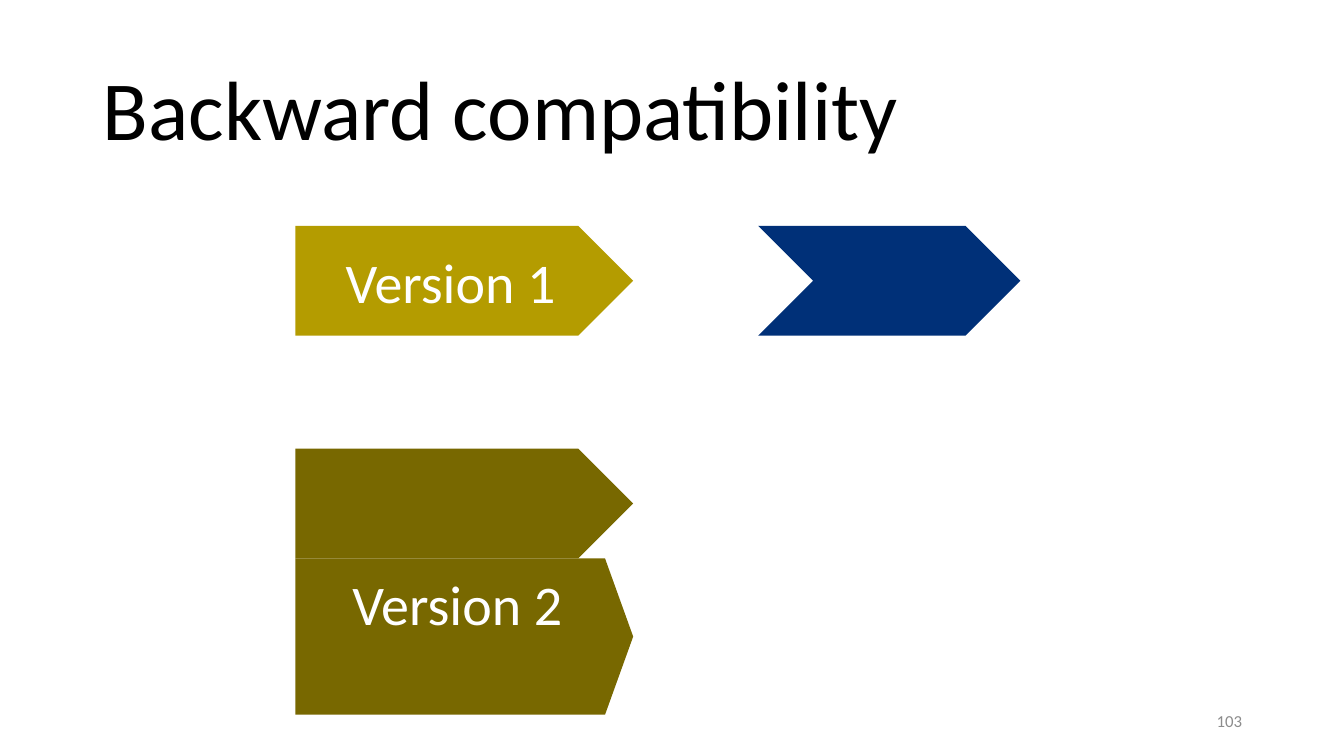
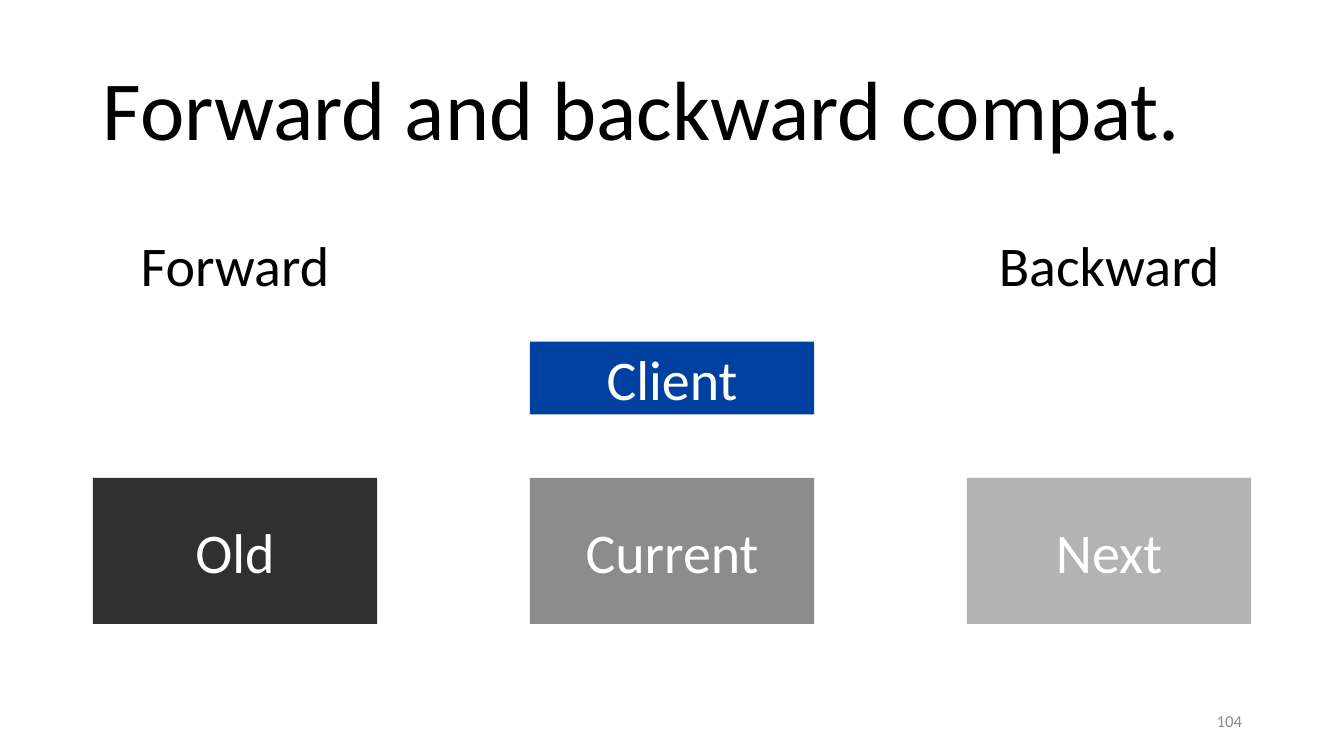
from pptx import Presentation
from pptx.dml.color import RGBColor
from pptx.enum.shapes import MSO_SHAPE as SHAPE
from pptx.enum.text import MSO_ANCHOR as ANCHOR, MSO_AUTO_SIZE as AUTO_SIZE, PP_ALIGN as ALIGN
from pptx.util import Inches, Pt

BLACK = RGBColor(0x00, 0x00, 0x00)
WHITE = RGBColor(0xFF, 0xFF, 0xFF)
DARK_GRAY = RGBColor(0x30, 0x30, 0x30)
GRAY = RGBColor(0x8C, 0x8C, 0x8C)
LIGHT_GRAY = RGBColor(0xB3, 0xB3, 0xB3)
GOLD = RGBColor(0xB4, 0x9C, 0x00)
DARK_GOLD = RGBColor(0x78, 0x68, 0x00)
BLUE = RGBColor(0x00, 0x40, 0xA0)
NAVY = RGBColor(0x00, 0x30, 0x78)

FONT = "Calibri"
FIRST_NUMBER = 103
TITLES = ["Backward compatibility", "Forward and backward compat."]


def write(shape, text, size=40, color=WHITE, align=ALIGN.CENTER):
    """Fill a shape with one vertically centred paragraph and return it."""
    frame = shape.text_frame
    frame.text = text
    frame.word_wrap = True
    frame.auto_size = AUTO_SIZE.NONE
    frame.vertical_anchor = ANCHOR.MIDDLE
    paragraph = frame.paragraphs[0]
    paragraph.alignment = align
    for name, value in {"name": FONT, "size": Pt(size)}.items():
        setattr(paragraph.font, name, value)
    paragraph.font.color.rgb = color
    return paragraph


def add_block(slide, kind, box, fill, text=""):
    shape = slide.shapes.add_shape(kind, *map(Inches, box))
    shape.shadow.inherit = False
    shape.fill.solid()
    shape.fill.fore_color.rgb = fill
    shape.line.fill.background()
    if text:
        write(shape, text)
    return shape


presentation = Presentation()
presentation.slide_width = Inches(13.33)
presentation.slide_height = Inches(7.5)
title_only = presentation.slide_layouts[5]

# Titles and slide numbers
slides = []
for number, heading in enumerate(TITLES, FIRST_NUMBER):
    slide = presentation.slides.add_slide(title_only)
    title = slide.shapes.title
    title.left, title.top, title.width, title.height = map(Inches, (0.92, 0.4, 11.5, 1.45))
    write(title, heading, 60, BLACK, ALIGN.LEFT).line_spacing = 0.9
    number_box = slide.shapes.add_textbox(*map(Inches, (9.42, 6.95, 3, 0.4)))
    write(number_box, str(number), 12, GRAY, ALIGN.RIGHT)
    slides.append(slide)
versions_slide, clients_slide = slides

# Backward compatibility: version 2 keeps the outline of version 1 and extends it
PLATE_LEFT, PLATE_WIDTH, PLATE_HEIGHT = 2.93, 3.35, 1.09
VERSION_1_TOP, VERSION_2_TOP = 2.24, 4.45
add_block(versions_slide, SHAPE.CHEVRON, (7.52, VERSION_1_TOP, 2.6, PLATE_HEIGHT), NAVY)
for top, fill, text in [(VERSION_1_TOP, GOLD, "Version 1"), (VERSION_2_TOP, DARK_GOLD, "")]:
    add_block(versions_slide, SHAPE.PENTAGON, (PLATE_LEFT, top, PLATE_WIDTH, PLATE_HEIGHT), fill, text)
extension = add_block(
    versions_slide, SHAPE.PENTAGON,
    (PLATE_LEFT, VERSION_2_TOP + PLATE_HEIGHT, PLATE_WIDTH, 1.55), DARK_GOLD, "Version 2",
)
extension.adjustments[0] = 0.18
extension.text_frame.margin_bottom = Inches(0.72)  # lifts the label above the middle

# Forward and backward compatibility: three columns
COLUMN_LEFT, COLUMN_STEP, COLUMN_WIDTH = 0.92, 4.335, 2.82
LABEL_HEIGHT = 0.72
COLUMNS = [
    ("Forward", "", "Old", DARK_GRAY),
    ("", "Client", "Current", GRAY),
    ("Backward", "", "Next", LIGHT_GRAY),
]
for column, (direction, client, release, fill) in enumerate(COLUMNS):
    left = COLUMN_LEFT + column * COLUMN_STEP
    add_block(clients_slide, SHAPE.RECTANGLE, (left, 4.74, COLUMN_WIDTH, 1.45), fill, release)
    if direction:
        label = clients_slide.shapes.add_textbox(*map(Inches, (left, 2.26, COLUMN_WIDTH, LABEL_HEIGHT)))
        write(label, direction, color=BLACK)
    if client:
        add_block(clients_slide, SHAPE.RECTANGLE, (left, 3.39, COLUMN_WIDTH, LABEL_HEIGHT), BLUE, client)

presentation.save("out.pptx")
